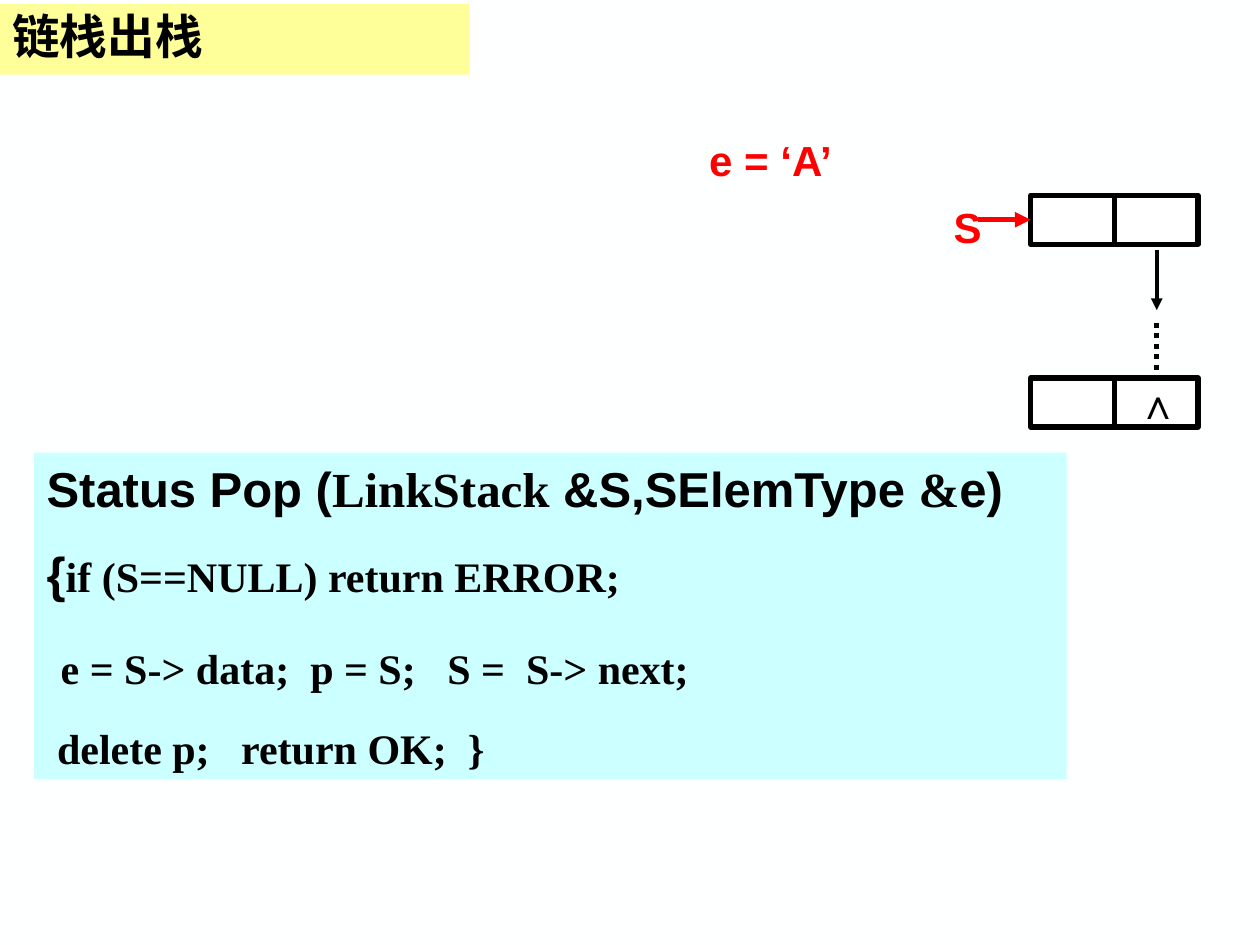
import pptx
import pptx.dml.color
import pptx.enum.dml
import pptx.enum.shapes
import pptx.enum.text
import pptx.oxml.ns
import pptx.util
from lxml import etree

Pt = pptx.util.Pt
RGB = pptx.dml.color.RGBColor
ALIGN = pptx.enum.text.PP_ALIGN
ANCHOR = pptx.enum.text.MSO_ANCHOR
qn = pptx.oxml.ns.qn

PAPER = RGB(0xFE, 0xFF, 0xFF)
WHITE = RGB(0xFF, 0xFF, 0xFF)
BLACK = RGB(0, 0, 0)
RED = RGB(0xFF, 0, 0)
YELLOW = RGB(0xFF, 0xFF, 0x99)
CYAN = RGB(0xCC, 0xFF, 0xFF)
SANS, SERIF, CJK = "Arial", "Times New Roman", "Noto Sans CJK SC"

# Content: paragraphs of (text, size, font) runs
TITLE = [[("链栈出栈", 27.2, CJK)]]
CODE = [
    [("Status Pop (", 28, SANS), ("LinkStack", 28, SERIF),
     (" &S,SElemType ", 28, SANS), ("&", 28, SERIF), ("e)", 28, SANS)],
    [("{", 28, SANS), ("if (S==NULL) return ERROR;", 24, SERIF)],
    [(" ", 32, SERIF), ("e = S-> data;  p = S;   S =  S-> next;", 24, SERIF)],
    [(" delete p;   return OK;  }", 24, SERIF)],
]
# Labels: text, left, top, width, colour
LABELS = [
    ("∧", 643, 212.4, 36, BLACK),
    ("e = ‘A’", 377.3, 73.4, 126, RED),
    ("S", 535, 111.6, 36, RED),
]

# Linked list geometry
NODE_X, NODE_W, NODE_H = 589, 95.6, 28
TOP_NODE_Y, END_NODE_Y = 111.6, 216
LINK_X = 661

prs = pptx.Presentation()
prs.slide_width, prs.slide_height = Pt(720), Pt(540)
s = prs.slides.add_slide(prs.slide_layouts[6])
s.background.fill.solid()
s.background.fill.fore_color.rgb = PAPER


def add_rect(x, y, w, h, fill, outline=None):
    sp = s.shapes.add_shape(pptx.enum.shapes.MSO_SHAPE.RECTANGLE,
                            Pt(x), Pt(y), Pt(w), Pt(h))
    sp.shadow.inherit = False
    sp.fill.solid()
    sp.fill.fore_color.rgb = fill
    if outline is None:
        sp.line.fill.background()
    else:
        sp.line.color.rgb = outline
        sp.line.width = Pt(3)
    return sp


def add_line(x1, y1, x2, y2, color=BLACK, width=3, arrow=False):
    ln = s.shapes.add_connector(pptx.enum.shapes.MSO_CONNECTOR.STRAIGHT,
                                Pt(x1), Pt(y1), Pt(x2), Pt(y2))
    ln.line.color.rgb = color
    ln.line.width = Pt(width)
    if arrow:
        etree.SubElement(ln.line._get_or_add_ln(), qn("a:tailEnd"), type="triangle")
    etree.SubElement(ln._element.spPr, qn("a:effectLst"))
    return ln


def write(sp, paragraphs, color=BLACK, align=ALIGN.LEFT, anchor=ANCHOR.TOP):
    tf = sp.text_frame
    tf.word_wrap = True
    tf.vertical_anchor = anchor
    for i, runs in enumerate(paragraphs):
        p = tf.add_paragraph() if i else tf.paragraphs[0]
        p.alignment = align
        if i:
            p.space_before = Pt(15)
        for text, size, font in runs:
            r = p.add_run()
            r.text = text
            r.font.size, r.font.name, r.font.bold = Pt(size), font, True
            r.font.color.rgb = color
            if font == CJK:
                etree.SubElement(r.font._element, qn("a:ea"), typeface=font)
    return tf


# Title bar
tf = write(add_rect(0, 2.2, 268, 40.4, YELLOW), TITLE, anchor=ANCHOR.MIDDLE)
tf.paragraphs[0].line_spacing = 0.9

# Code panel
write(add_rect(19.6, 258.6, 590, 186.6, CYAN), CODE)

# Nodes, each split into data and next cells
nodes = []
for y in (TOP_NODE_Y, END_NODE_Y):
    node = add_rect(NODE_X, y, NODE_W, NODE_H, WHITE, BLACK)
    mid = NODE_X + NODE_W / 2
    divider = add_line(mid, y, mid, y + NODE_H)
    divider.begin_connect(node, 0)
    divider.end_connect(node, 2)
    nodes.append(node)

# Link to the next node and the omitted nodes
add_line(LINK_X, 142.6, LINK_X, 177.2, width=2.25, arrow=True)
dots = add_line(LINK_X, 184.4, LINK_X, 212.4)
dots.line.dash_style = pptx.enum.dml.MSO_LINE.ROUND_DOT

# Stack pointer
pointer_y = TOP_NODE_Y + NODE_H / 2
pointer = add_line(558.8, pointer_y, NODE_X, pointer_y, RED, arrow=True)
pointer.end_connect(nodes[0], 1)

# Labels
for text, x, y, w, color in LABELS:
    box = s.shapes.add_textbox(Pt(x), Pt(y), Pt(w), Pt(36))
    write(box, [[(text, 24, SANS)]], color, ALIGN.CENTER)

prs.save("out.pptx")
